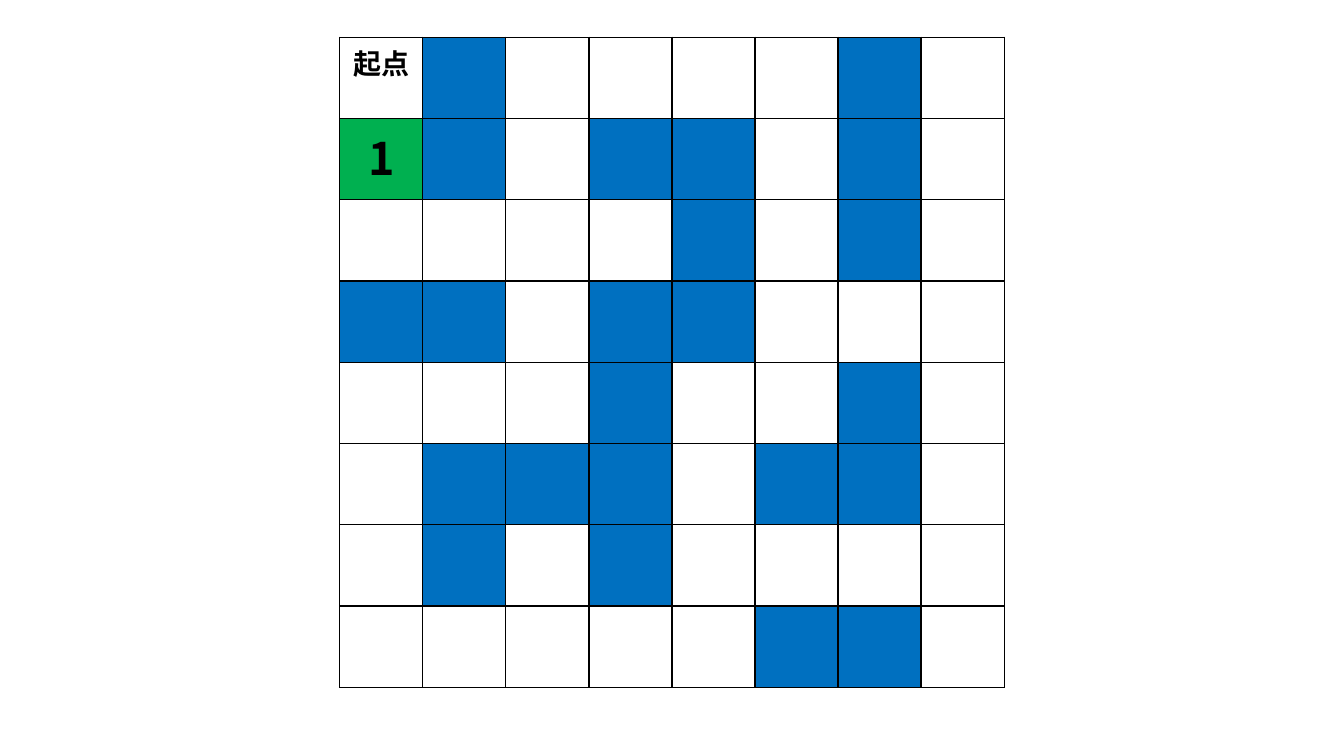
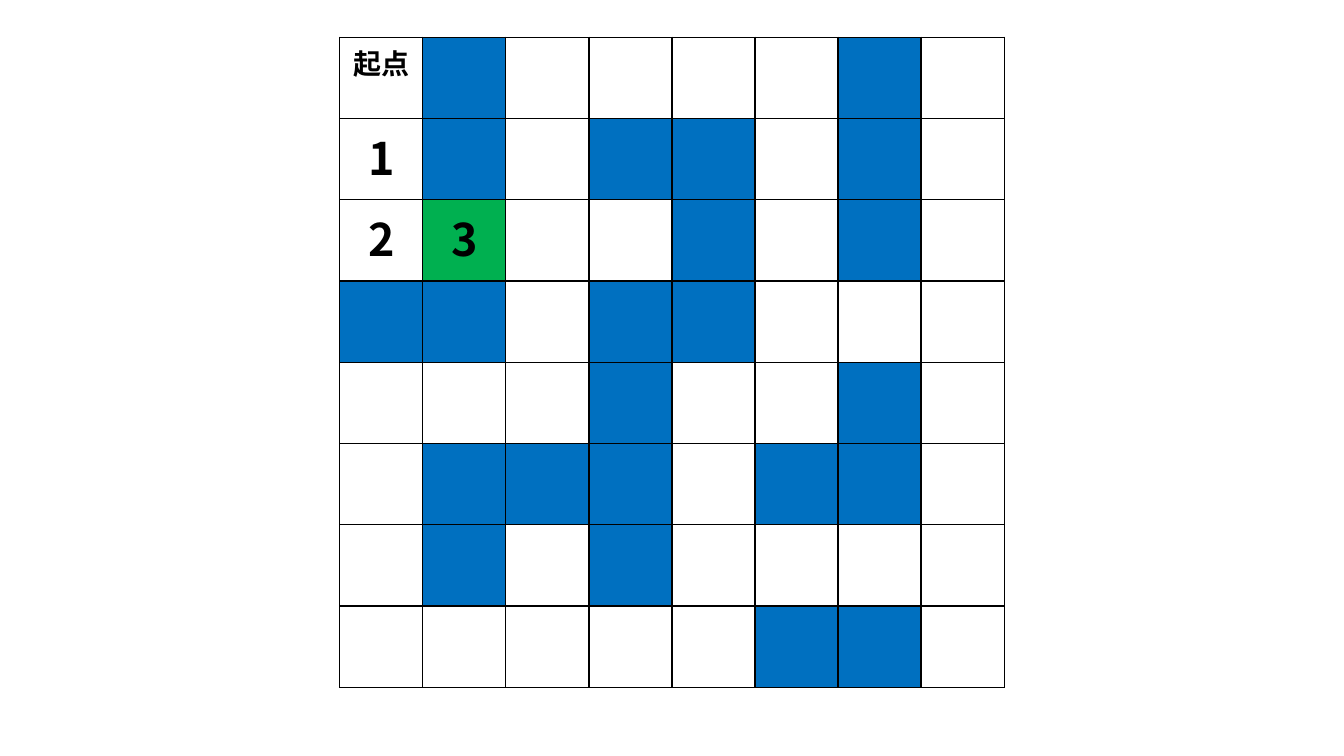
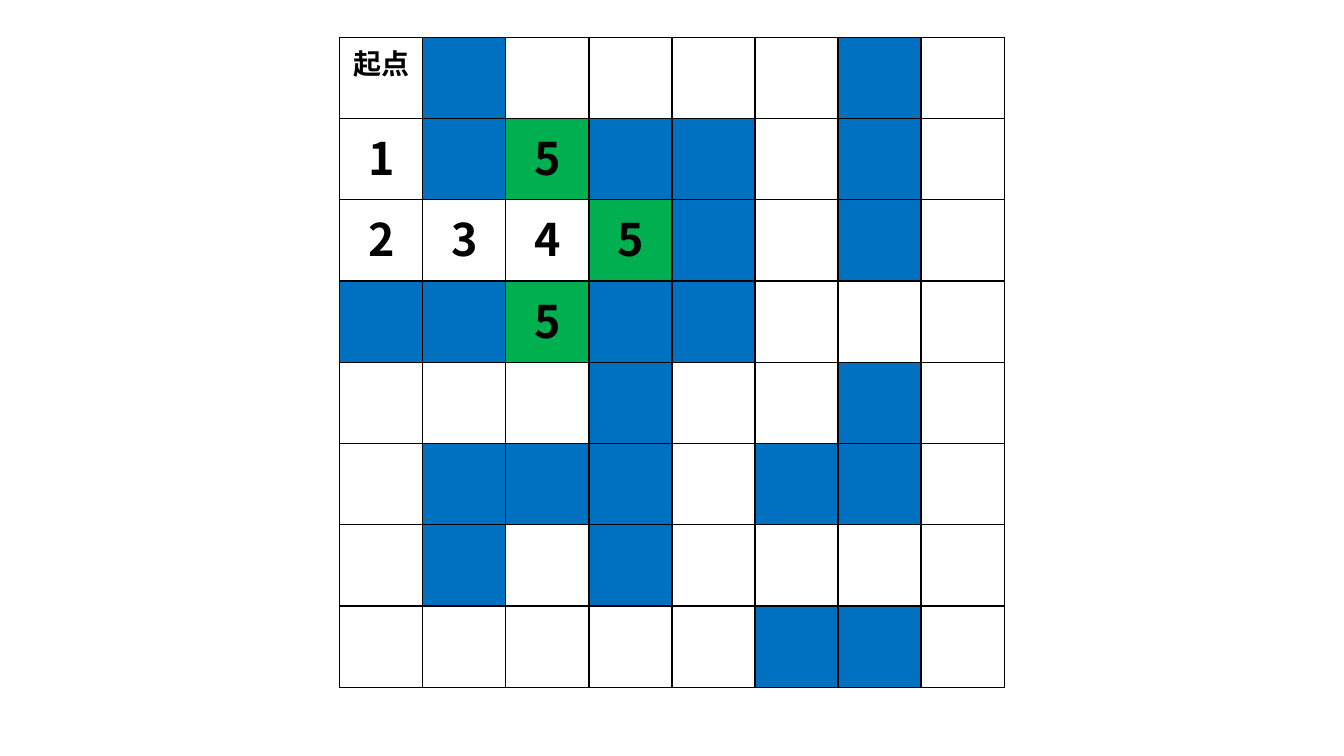
"""Build three slides that show a breadth-first search spreading through a maze."""
from dataclasses import dataclass

import pptx
import pptx.dml.color
import pptx.enum.text
import pptx.oxml
import pptx.oxml.ns
import pptx.util
from pptx.util import Inches

FONT = "Noto Sans CJK SC"
BLACK, WHITE, WALL, FRONTIER = "000000", "FFFFFF", "0070C0", "00B050"
LEFT, TOP, WIDTH, HEIGHT = Inches(3.37), Inches(0.37), Inches(6.59), Inches(6.45)
MAZE = (
    ".#....#.",
    ".#.##.#.",
    "....#.#.",
    "##.##...",
    "...#..#.",
    ".###.##.",
    ".#.#....",
    ".....##.",
)
SIZE = len(MAZE)
START = (0, 0)
STEPS_SHOWN = (1, 3, 5)


@dataclass(frozen=True)
class Square:
    text: str
    size: int
    fill: str


def rgb(color: str) -> pptx.dml.color.RGBColor:
    return pptx.dml.color.RGBColor.from_string(color)


def distances(limit: int) -> dict[tuple[int, int], int]:
    found = {START: 0}
    queue = [START]
    for row, col in queue:
        steps = found[row, col] + 1
        if steps > limit:
            break
        for place in ((row - 1, col), (row + 1, col), (row, col - 1), (row, col + 1)):
            inside = all(0 <= i < SIZE for i in place)
            if inside and place not in found and MAZE[place[0]][place[1]] == ".":
                found[place] = steps
                queue.append(place)
    return found


def square_at(place: tuple[int, int], found: dict[tuple[int, int], int], limit: int) -> Square:
    if place == START:
        return Square("起点", 20, WHITE)
    if place in found:
        return Square(str(found[place]), 32, FRONTIER if found[place] == limit else WHITE)
    return Square("", 32, WALL if MAZE[place[0]][place[1]] == "#" else WHITE)


def set_borders(cell) -> None:
    tc_pr = cell._tc.get_or_add_tcPr()
    for side in "LRTB":
        tc_pr.append(pptx.oxml.parse_xml(
            f'<a:ln{side} {pptx.oxml.ns.nsdecls("a")} w="{pptx.util.Pt(1)}"><a:solidFill>'
            f'<a:srgbClr val="{BLACK}"/></a:solidFill></a:ln{side}>'))


def draw_square(cell, square: Square) -> None:
    set_borders(cell)
    cell.fill.solid()
    cell.fill.fore_color.rgb = rgb(square.fill)
    if not square.text:
        return
    p = cell.text_frame.paragraphs[0]
    p.text = square.text
    p.alignment = pptx.enum.text.PP_ALIGN.CENTER
    p.font.size = pptx.util.Pt(square.size)
    p.font.bold = True
    p.font.color.rgb = rgb(BLACK)
    p.font.name = FONT
    latin = p._p.pPr.find(".//" + pptx.oxml.ns.qn("a:latin"))
    latin.addnext(pptx.oxml.parse_xml(
        f'<a:ea {pptx.oxml.ns.nsdecls("a")} typeface="{FONT}"/>'))


def add_maze_slide(prs, limit: int) -> None:
    s = prs.slides.add_slide(prs.slide_layouts[6])
    table = s.shapes.add_table(SIZE, SIZE, LEFT, TOP, WIDTH, HEIGHT).table
    table.first_row = False
    table.horz_banding = False
    found = distances(limit)
    for row in range(SIZE):
        for col in range(SIZE):
            draw_square(table.cell(row, col), square_at((row, col), found, limit))


def main() -> None:
    prs = pptx.Presentation()
    prs.slide_width, prs.slide_height = Inches(13.33), Inches(7.5)
    for limit in STEPS_SHOWN:
        add_maze_slide(prs, limit)
    prs.save("out.pptx")


if __name__ == "__main__":
    main()
